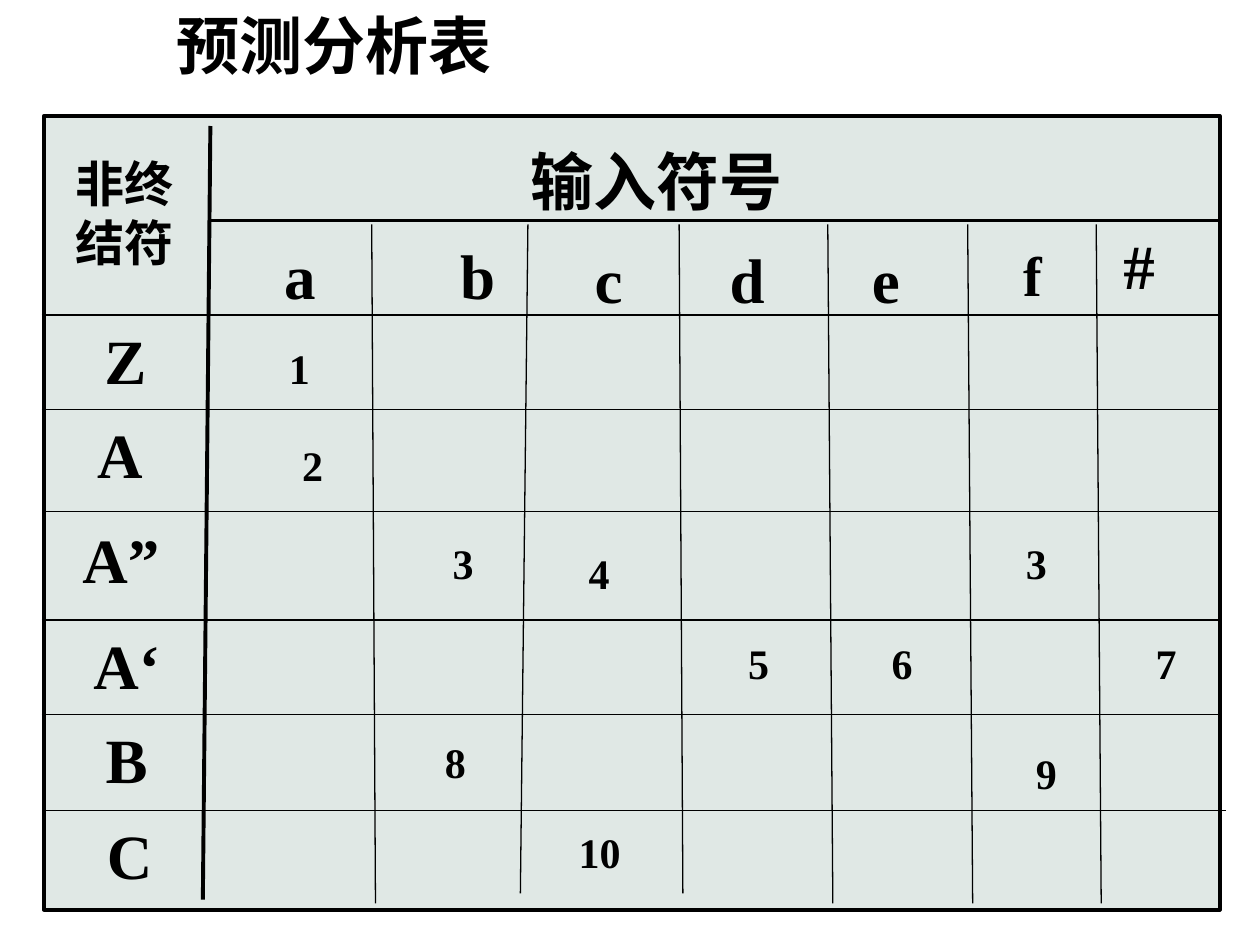
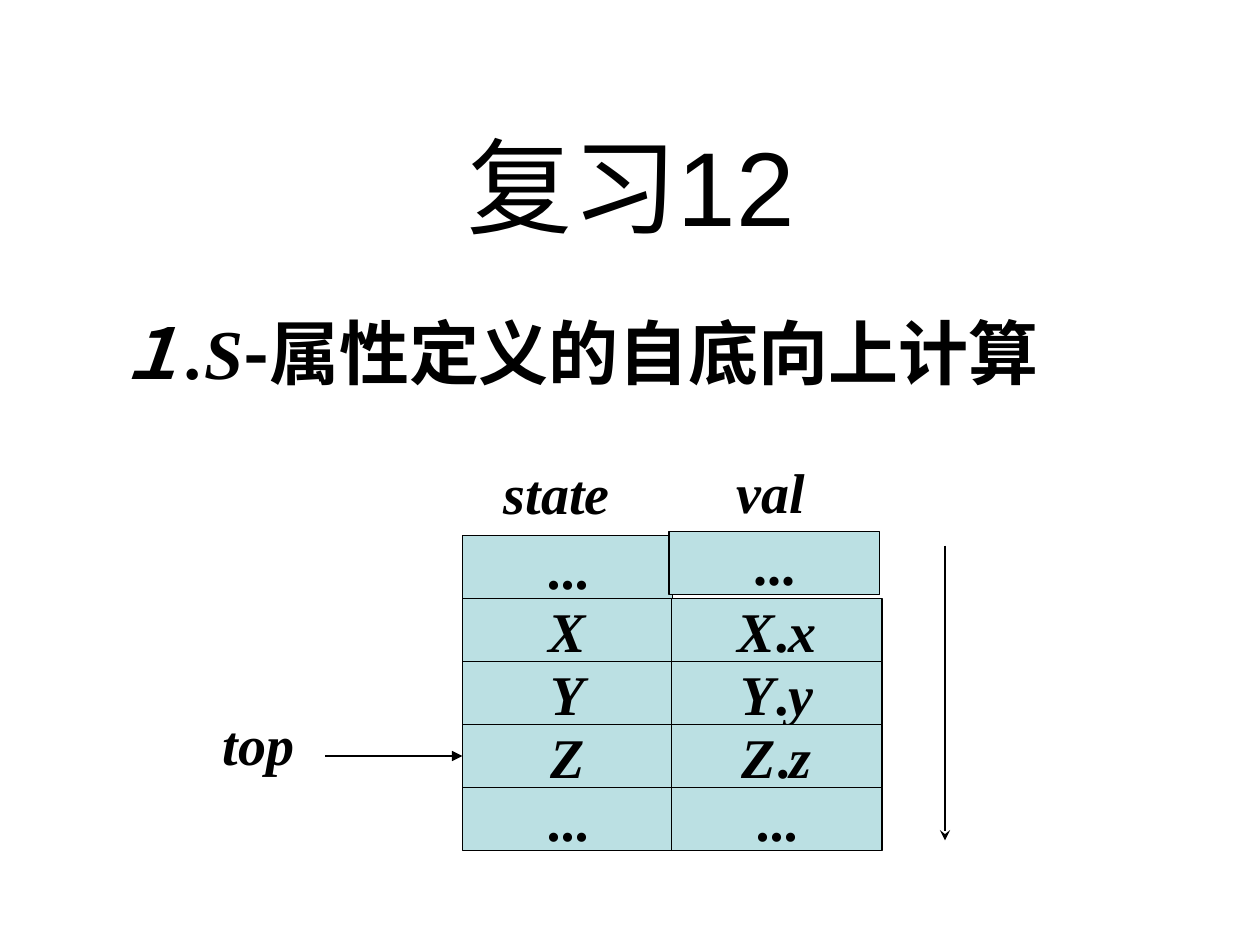
from itertools import groupby
from typing import Any, NamedTuple, Optional

from lxml.etree import SubElement
from pptx import Presentation
from pptx.dml.color import RGBColor
from pptx.enum.shapes import MSO_CONNECTOR, MSO_SHAPE
from pptx.enum.text import MSO_ANCHOR, PP_ALIGN
from pptx.oxml.ns import qn
from pptx.slide import Slide
from pptx.text.text import TextFrame
from pptx.util import Pt

EMU_PER_PX = 9144  # 100 px to the inch

BLACK = RGBColor(0x00, 0x00, 0x00)
TABLE_FILL = RGBColor(0xE0, 0xE8, 0xE5)
STACK_FILL = RGBColor(0xBB, 0xE0, 0xE3)

SERIF = "Times New Roman"
SANS = "Arial"
CJK = "Noto Sans CJK SC"

HAIRLINE, THIN, THICK = 0.25, 0.75, 2.25
LINE_HEIGHTS = {24: 50, 28: 104, 32: 64, 36: 70, 40: 77, 60: 125}


class Run(NamedTuple):
    text: str
    italic: bool = False
    bold: bool = True
    font: str = SERIF


class Label(NamedTuple):
    runs: list[Run]
    left: int
    top: int
    width: int
    size: int = 36
    align: PP_ALIGN = PP_ALIGN.CENTER
    anchor: MSO_ANCHOR = MSO_ANCHOR.TOP
    wrap: bool = True


class Rule(NamedTuple):
    x1: int
    y1: int
    x2: int
    y2: int
    weight: float = THIN
    arrowhead: Optional[str] = None


class Box(NamedTuple):
    left: int
    top: int
    width: int
    height: int
    fill: RGBColor
    weight: float


def px(length: int) -> int:
    return length * EMU_PER_PX


def apply_format(target: Any, values: dict[str, Any]) -> None:
    for name, value in values.items():
        setattr(target, name, value)


def fill_text(frame: TextFrame, runs: list[Run], size: int, align: PP_ALIGN,
              anchor: MSO_ANCHOR, wrap: bool) -> None:
    apply_format(frame, {
        "word_wrap": wrap, "vertical_anchor": anchor,
        "margin_left": px(10), "margin_right": px(10),
        "margin_top": px(5), "margin_bottom": px(5),
    })
    paragraph = frame.paragraphs[0]
    paragraph.alignment = align
    for part in runs:
        run = paragraph.add_run()
        run.text = part.text
        apply_format(run.font, {"name": part.font, "size": Pt(size),
                                "bold": part.bold, "italic": part.italic})
        run.font.color.rgb = BLACK
        SubElement(run.font._element, qn("a:ea"), typeface=CJK)


def draw_label(slide: Slide, label: Label) -> None:
    box = slide.shapes.add_textbox(px(label.left), px(label.top), px(label.width),
                                   px(LINE_HEIGHTS[label.size]))
    fill_text(box.text_frame, label.runs, label.size, label.align,
              label.anchor, label.wrap)


def draw_rule(slide: Slide, rule: Rule) -> None:
    connector = slide.shapes.add_connector(
        MSO_CONNECTOR.STRAIGHT, px(rule.x1), px(rule.y1), px(rule.x2), px(rule.y2))
    connector.line.color.rgb = BLACK
    connector.line.width = Pt(rule.weight)
    properties = connector._element.spPr
    if rule.arrowhead:
        SubElement(properties.find(qn("a:ln")), qn("a:tailEnd"), type=rule.arrowhead)
    SubElement(properties, qn("a:effectLst"))


def draw_box(slide: Slide, box: Box) -> TextFrame:
    shape = slide.shapes.add_shape(MSO_SHAPE.RECTANGLE, px(box.left), px(box.top),
                                   px(box.width), px(box.height))
    shape.shadow.inherit = False
    shape.fill.solid()
    shape.fill.fore_color.rgb = box.fill
    shape.line.color.rgb = BLACK
    shape.line.width = Pt(box.weight)
    return shape.text_frame


TABLE_RULES = [
    *(Rule(33, y, 967, y) for y in (250, 325, 492, 567)),
    Rule(35, 406, 969, 406),
    Rule(35, 643, 973, 643, HAIRLINE),
    Rule(167, 175, 967, 175, THICK),
    Rule(167, 100, 161, 714, THICK),
    *(Rule(top_x, 178, bottom_x, bottom) for top_x, bottom_x, bottom in (
        (295, 298, 717), (419, 413, 709), (539, 542, 709),
        (657, 661, 717), (768, 772, 717), (870, 874, 717))),
]

TABLE_HEADINGS = [
    Label([Run("预测分析表")], 130, 0, 525, align=PP_ALIGN.LEFT),
    Label([Run("非终结符")], 50, 117, 100, 28, PP_ALIGN.LEFT),
    Label([Run("输入符号")], 317, 108, 408),
]

NONTERMINALS = [
    Label([Run("Z")], 58, 250, 83),
    Label([Run("A ")], 50, 325, 100),
    Label([Run("A”")], 42, 408, 108),
    Label([Run("A‘")], 42, 492, 117),
    Label([Run("B")], 42, 567, 117),
    Label([Run("C")], 75, 643, 86, align=PP_ALIGN.LEFT),
]

INPUT_SYMBOLS = [
    *(Label([Run(symbol)], left, top, 92) for symbol, left, top in (
        ("a", 192, 183), ("b", 333, 183), ("c", 437, 186),
        ("d", 547, 186), ("e", 657, 186), ("#", 858, 175))),
    Label([Run("f")], 776, 186, 87, 32),
]

PRODUCTIONS = [
    Label([Run(number)], left, top, width, 24) for number, left, top, width in (
        ("1", 175, 267, 125), ("2", 169, 344, 158),
        ("3", 280, 422, 175), ("4", 413, 430, 125), ("3", 760, 422, 125),
        ("5", 547, 501, 110), ("6", 665, 501, 102), ("7", 878, 501, 95),
        ("8", 295, 580, 133), ("9", 768, 588, 125), ("10", 413, 651, 126))
]

REVIEW_LABELS = [
    Label([Run("复习12", bold=False, font=SANS)], 51, 84, 900, 60,
          anchor=MSO_ANCHOR.MIDDLE),
    Label([Run("１.S", italic=True), Run("-属性定义的自底向上计算", font=CJK)],
          83, 241, 791, 40, PP_ALIGN.LEFT, wrap=False),
    *(Label([Run(name, italic=True)], left, top, width, 32, PP_ALIGN.LEFT)
      for name, left, top, width in (
          ("state", 390, 359, 124), ("val", 575, 358, 83), ("top", 167, 558, 108))),
]

REVIEW_ARROWS = [
    Rule(258, 600, 367, 600, arrowhead="triangle"),
    Rule(750, 433, 750, 667, arrowhead="stealth"),
]

STACK_ROWS = [("...", "..."), ("X", "X.x"), ("Y", "Y.y"), ("Z", "Z.z"), ("...", "...")]
STACK_COLUMNS = (367, 533)
STACK_TOP, CELL_WIDTH, CELL_HEIGHT = 425, 167, 50
FIRST_VAL_SHIFT = (-2, -3)


def draw_stack(slide: Slide) -> None:
    """Draw the state/val stack; its first val cell sits slightly off the grid."""
    for row, entries in enumerate(STACK_ROWS):
        for column, entry in enumerate(entries):
            dx, dy = FIRST_VAL_SHIFT if (row, column) == (0, 1) else (0, 0)
            frame = draw_box(slide, Box(
                STACK_COLUMNS[column] + dx, STACK_TOP + row * CELL_HEIGHT + dy,
                CELL_WIDTH, CELL_HEIGHT, STACK_FILL, THIN))
            runs = [Run("".join(letters), italic=is_symbol)
                    for is_symbol, letters in groupby(entry, str.isalpha)]
            fill_text(frame, runs, 32, PP_ALIGN.CENTER, MSO_ANCHOR.MIDDLE, False)


def draw_parsing_table(slide: Slide) -> None:
    draw_box(slide, Box(35, 92, 933, 630, TABLE_FILL, THICK))
    for rule in TABLE_RULES:
        draw_rule(slide, rule)
    for label in TABLE_HEADINGS + NONTERMINALS + INPUT_SYMBOLS + PRODUCTIONS:
        draw_label(slide, label)


def draw_review(slide: Slide) -> None:
    draw_stack(slide)
    for label in REVIEW_LABELS:
        draw_label(slide, label)
    for arrow in REVIEW_ARROWS:
        draw_rule(slide, arrow)


def main() -> None:
    presentation = Presentation()
    presentation.slide_width, presentation.slide_height = px(1000), px(750)
    blank = presentation.slide_layouts[6]
    for draw in (draw_parsing_table, draw_review):
        draw(presentation.slides.add_slide(blank))
    presentation.save("out.pptx")


if __name__ == "__main__":
    main()
